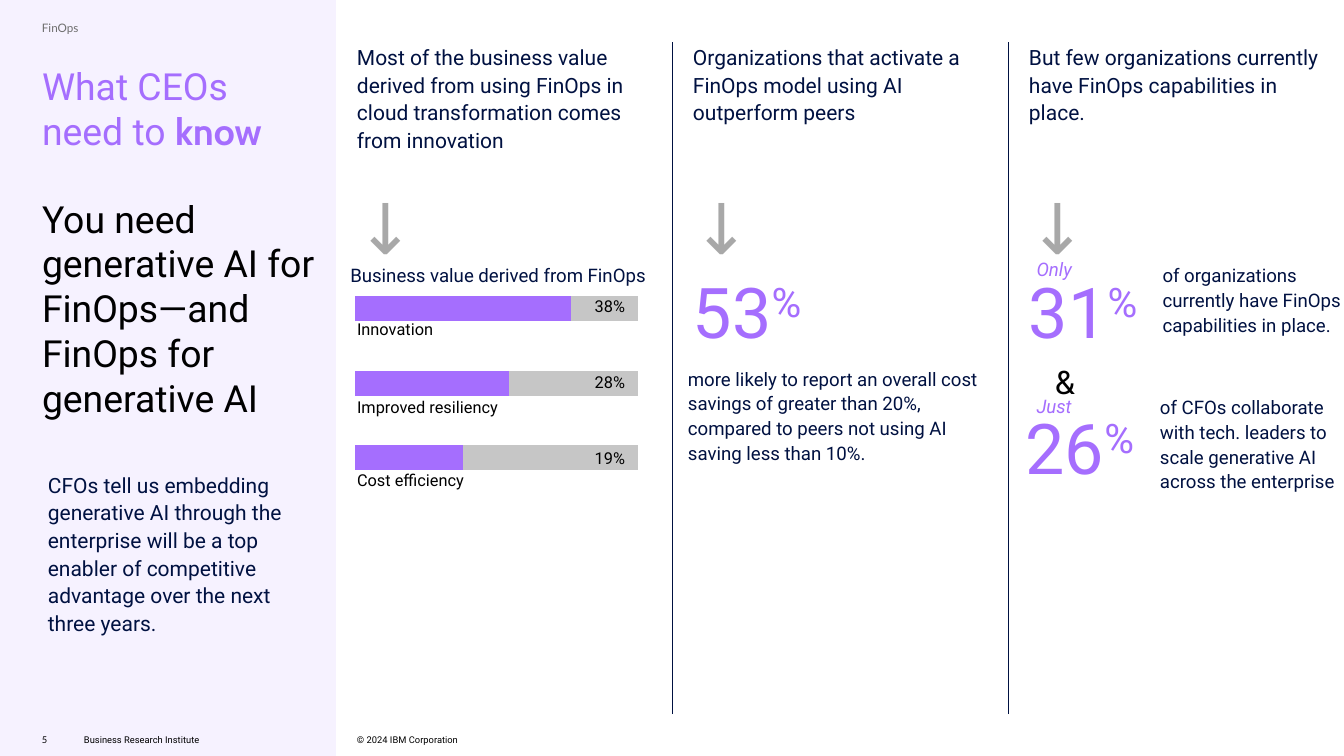
import pptx
import pptx.chart.data
import pptx.dml.color
import pptx.enum.chart
import pptx.enum.shapes
import pptx.enum.text
import pptx.oxml
import pptx.oxml.ns
import pptx.util
from pptx.util import Inches

RGBColor = pptx.dml.color.RGBColor
PURPLE = RGBColor(0xA5, 0x6E, 0xFE)
NAVY = RGBColor(0x00, 0x11, 0x41)
BLACK = RGBColor(0x00, 0x00, 0x00)
GRAY = RGBColor(0x6F, 0x6F, 0x6F)
ARROW_GRAY = RGBColor(0xA8, 0xA8, 0xA8)
BAR_GRAY = RGBColor(0xC6, 0xC6, 0xC6)
LAVENDER = RGBColor(0xF6, 0xF2, 0xFF)

COLUMNS = [
    (4.25, "Most of the business value derived from using FinOps in cloud "
           "transformation comes from innovation", None),
    (8.25, "Organizations that activate a FinOps model using AI outperform peers", "53"),
    (12.25, "But few organizations currently have FinOps capabilities in place.", "31"),
]
BARS = [("Innovation", "38%", 94, 77, 3.78, 3.5),
        ("Improved resiliency", "28%", 67, 89, 4.7, 4.41),
        ("Cost efficiency", "19%", 47, 100, 5.58, 5.31)]
BODY_TEXTS = [
    (8.19, 4.35, 3.5, 1.8, "more likely to report an overall cost savings of greater than "
                           "20%, compared to peers not using AI saving less than 10%."),
    (4.17, 3.12, 3.58, 0.3, "Business value derived from FinOps"),
    (13.84, 3.12, 2.16, 1.8, "of organizations currently have FinOps capabilities in place."),
    (13.81, 4.69, 2.16, 1.15, "of CFOs collaborate with tech. leaders to scale generative AI "
                              "across the enterprise"),
]


def add_box(slide, x, y, w, h, middle=False):
    tf = slide.shapes.add_textbox(Inches(x), Inches(y), Inches(w), Inches(h)).text_frame
    tf.word_wrap = True
    tf.margin_left = tf.margin_right = tf.margin_top = tf.margin_bottom = 0
    if middle:
        tf.vertical_anchor = pptx.enum.text.MSO_ANCHOR.MIDDLE
    return tf


def style(font, size, color, name="Roboto"):
    font.size = pptx.util.Pt(size)
    font.name = name
    font.color.rgb = color


def add_text(slide, x, y, w, h, text, size, color, name="Roboto", spacing=1.1,
             italic=False, middle=False):
    p = add_box(slide, x, y, w, h, middle).paragraphs[0]
    p.text = text
    p.line_spacing = spacing
    style(p.font, size, color, name)
    p.font.italic = italic


def add_big_line(p, text, size, color, raised=""):
    """Fill a paragraph with large text, followed by raised characters."""
    p.line_spacing = pptx.util.Pt(72)
    style(p.font, size, color)
    if text:
        p.add_run().text = text
    if raised:
        r = p.add_run()
        r.text = raised
        r.font._element.set("baseline", "30000")


def add_divider(slide, x):
    line = slide.shapes.add_connector(pptx.enum.shapes.MSO_CONNECTOR.STRAIGHT,
                                      Inches(x), Inches(8.5), Inches(x), Inches(0.5))
    line.line.color.rgb = NAVY
    line.line.width = pptx.util.Pt(0.25)
    line._element.spPr.append(pptx.oxml.parse_xml(
        "<a:effectLst %s/>" % pptx.oxml.ns.nsdecls("a")))


def add_panel(slide):
    sp = slide.shapes.add_shape(pptx.enum.shapes.MSO_SHAPE.RECTANGLE,
                                0, 0, Inches(4), Inches(9))
    sp.shadow.inherit = False
    sp.fill.solid()
    sp.fill.fore_color.rgb = LAVENDER
    sp.line.fill.background()


def add_title(slide):
    tf = add_box(slide, 0.5, 0.75, 3.25, 1.15)
    p = tf.paragraphs[0]
    for text, name, bold in (("What CEOs need to ", "Roboto", False), ("know", "Cabin", True)):
        r = p.add_run()
        r.text = text
        style(r.font, 32, PURPLE, name)
        r.font.bold = bold
    p = tf.add_paragraph()
    p.text = "You need generative AI for FinOps—and FinOps for generative AI"
    p.space_before = pptx.util.Pt(37)
    style(p.font, 32, BLACK)


def add_value_chart(slide):
    data = pptx.chart.data.CategoryChartData()
    data.categories = ["1", "2", "3"]
    data.add_series("Series 1", [bar[2] for bar in BARS])
    data.add_series("Series 2", [bar[3] for bar in BARS])
    chart = slide.shapes.add_chart(
        pptx.enum.chart.XL_CHART_TYPE.BAR_STACKED, Inches(4.08), Inches(3.14),
        Inches(3.67), Inches(2.95), data).chart
    chart.has_legend = False
    chart.has_title = False
    style(chart.font, 10, BLACK)
    plot = chart.plots[0]
    plot.gap_width = 200
    plot.overlap = 100
    plot.vary_by_categories = False
    for series, color in zip(plot.series, (PURPLE, BAR_GRAY)):
        series.format.fill.solid()
        series.format.fill.fore_color.rgb = color
    chart.category_axis.reverse_order = True
    chart.category_axis.visible = False
    axis = chart.value_axis
    axis.minimum_scale, axis.maximum_scale, axis.major_unit = 0, 123, 31
    axis.has_major_gridlines = False
    axis.major_tick_mark = pptx.enum.chart.XL_TICK_MARK.NONE
    axis.tick_label_position = pptx.enum.chart.XL_TICK_LABEL_POSITION.NONE
    axis.format.line.fill.background()
    set_plot_area(chart, x=0.039, y=0.031, w=0.918, h=0.902)


def set_plot_area(chart, **fractions):
    area = chart._chartSpace.chart.plotArea
    for old in area.findall(pptx.oxml.ns.qn("c:layout")):
        area.remove(old)
    parts = '<c:layoutTarget val="inner"/><c:xMode val="edge"/><c:yMode val="edge"/>'
    parts += "".join('<c:%s val="%s"/>' % item for item in fractions.items())
    area.insert(0, pptx.oxml.parse_xml(
        "<c:layout %s><c:manualLayout>%s</c:manualLayout></c:layout>"
        % (pptx.oxml.ns.nsdecls("c"), parts)))


def add_column(slide, x, heading, number):
    add_text(slide, x, 0.5, 3.5, 1.7, heading, 18, NAVY)
    tf = add_box(slide, x, 2.2, 3.4, 2.1)
    add_big_line(tf.paragraphs[0], "↓", 60, ARROW_GRAY)
    if number:
        add_big_line(tf.add_paragraph(), number, 60, PURPLE, "%")


def main():
    prs = pptx.Presentation()
    prs.slide_width, prs.slide_height = Inches(16), Inches(9)
    slide = prs.slides.add_slide(prs.slide_layouts[6])

    add_panel(slide)
    for x in (8, 12):
        add_divider(slide, x)
    add_text(slide, 0.5, 8.73, 0.5, 0.28, "5", 8, BLACK, "Lato")
    for x, text in ((1, "Business Research Institute"), (4.25, "© 2024 IBM Corporation")):
        add_text(slide, x, 8.69, 2.5, 0.24, text, 8, BLACK, spacing=1.0, middle=True)

    add_text(slide, 0.5, 0.25, 3.4, 0.25, "FinOps", 10, GRAY, "Lato", spacing=1.0)
    add_title(slide)
    add_text(slide, 0.57, 5.59, 3.25, 2.1,
             "CFOs tell us embedding generative AI through the enterprise will be a top "
             "enabler of competitive advantage over the next three years.", 18, NAVY)

    add_value_chart(slide)
    for name, share, _, _, name_y, share_y in BARS:
        add_text(slide, 4.25, name_y, 2.42, 0.5, name, 14, BLACK)
        add_text(slide, 7.08, share_y, 0.76, 0.28, share, 14, BLACK)

    for column in COLUMNS:
        add_column(slide, *column)
    for x, y, w, h, text in BODY_TEXTS:
        add_text(slide, x, y, w, h, text, 16, NAVY)
    for y, word in ((3.04, "Only"), (4.67, "Just")):
        add_text(slide, 12.34, y, 1.5, 0.28, word, 16, PURPLE, italic=True)
    add_big_line(add_box(slide, 12.56, 4.03, 0.53, 0.64).paragraphs[0], "", 48, BLACK, "&")
    add_big_line(add_box(slide, 12.21, 4.81, 3.38, 1.01).paragraphs[0], "26", 60, PURPLE, "%")

    prs.save("out.pptx")


if __name__ == "__main__":
    main()
